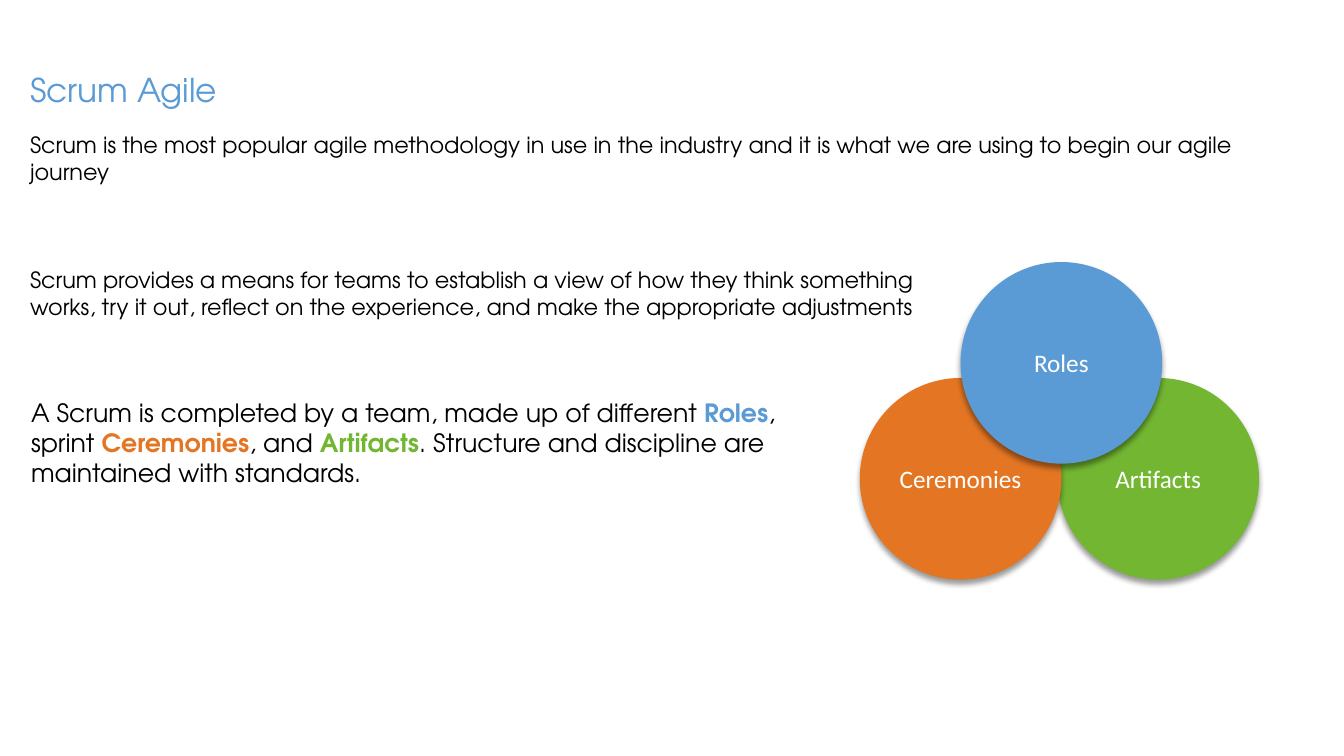
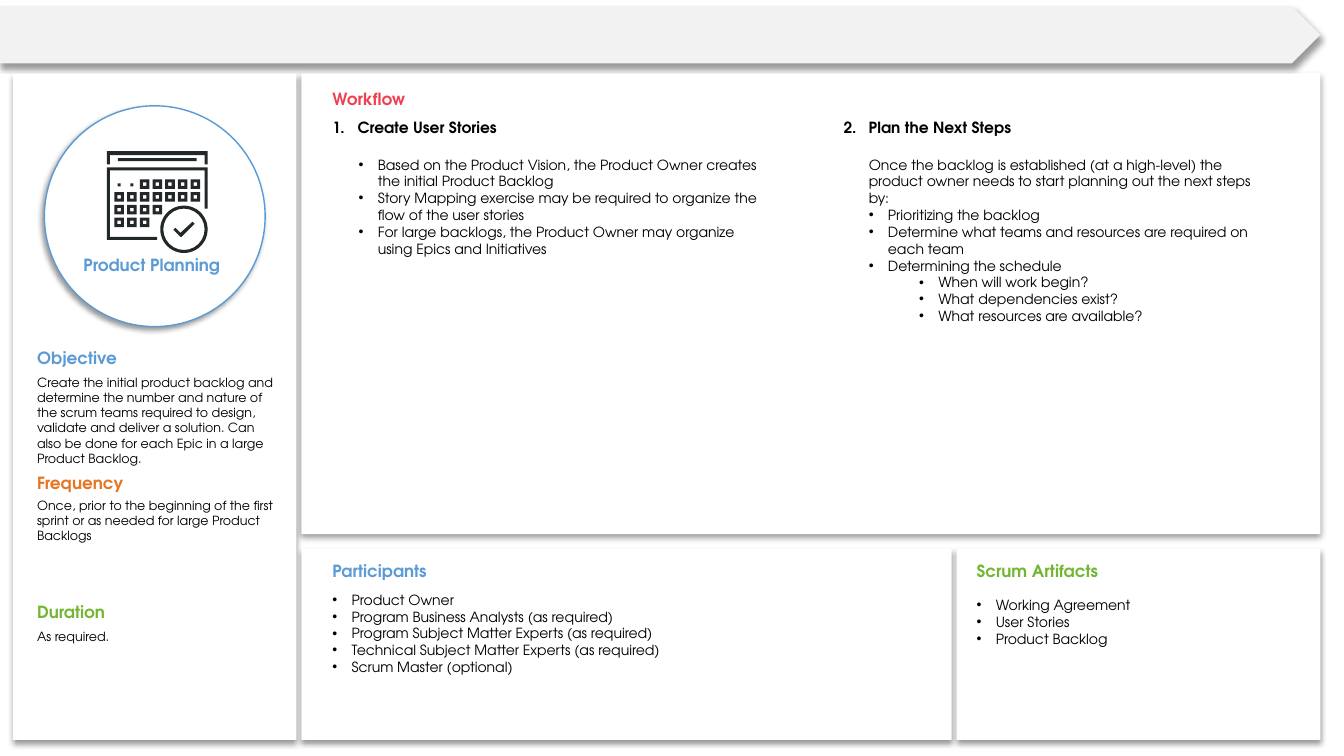
import dataclasses
import lxml.etree
import pptx
import pptx.dml.color
import pptx.enum.shapes
import pptx.enum.text
import pptx.oxml.ns
import pptx.util


@dataclasses.dataclass(frozen=True)
class Theme:
    font: str = "TeX Gyre Adventor"
    plain: str = "Calibri"
    black: str = "000000"
    white: str = "FFFFFF"
    blue: str = "5B9BD5"
    orange: str = "E47623"
    green: str = "73B632"
    red: str = "EF4051"
    band: str = "F2F2F2"
    ink: str = "222829"
    title: float = 23.4
    large: float = 18
    lead: float = 16
    head: float = 12
    step: float = 11
    list: float = 10
    note: float = 9


@dataclasses.dataclass(frozen=True)
class Line:
    runs: object              # text, or a list of (text, colour or None)
    mark: object = None       # a bullet character or a number
    left: float = 0           # indent in columns
    space: float = 0          # points before
    pitch: object = None      # line spacing


T = Theme()
CELL = pptx.util.Inches(0.1)  # the grid has cells of a tenth of an inch
WIDE, HIGH = 133.33, 75
KIND = pptx.enum.shapes.MSO_SHAPE
ANCHOR = pptx.enum.text.MSO_ANCHOR
ALIGN = pptx.enum.text.PP_ALIGN


# Basics

def cells(*counts):
    return [round(count * CELL) for count in counts]


def assign(item, **formats):
    for name, value in formats.items():
        setattr(item, name, value)


def paint(fill, color):
    fill.solid()
    fill.fore_color.rgb = pptx.dml.color.RGBColor.from_string(color)


def child(parent, tag, **attrs):
    node = lxml.etree.SubElement(parent, pptx.oxml.ns.qn(tag))
    for name, value in attrs.items():
        node.set(name, str(value))
    return node


def shade(shape, angle):
    """Soft black shadow, 4 pt blur at 3 pt distance."""
    shape.shadow.inherit = False
    effects = shape._element.spPr.find(pptx.oxml.ns.qn("a:effectLst"))
    outer = child(effects, "a:outerShdw", blurRad=pptx.util.Pt(4),
                  dist=pptx.util.Pt(3), dir=angle * 60000, rotWithShape=0)
    child(child(outer, "a:srgbClr", val=T.black), "a:alpha", val=40000)


# Text

def indent(para, line):
    hang = 2.5 if isinstance(line.mark, int) else 1.9
    props = para._p.get_or_add_pPr()
    left, first = cells(line.left + hang, -hang)
    props.set("marL", str(left))
    props.set("indent", str(first))
    if isinstance(line.mark, int):
        child(props, "a:buAutoNum", type="arabicPeriod", startAt=line.mark)
    else:
        child(props, "a:buFont", typeface="Arial")
        child(props, "a:buChar", char=line.mark)


def write(frame, lines, size, color=T.black, bold=False, face=T.font, align=None):
    for index, line in enumerate(lines):
        para = frame.paragraphs[0] if index == 0 else frame.add_paragraph()
        if line.mark:
            indent(para, line)
        if line.left:
            para.level = 1
        if line.space:
            para.space_before = pptx.util.Pt(line.space)
        assign(para, alignment=align, line_spacing=line.pitch)
        runs = [(line.runs, None)] if isinstance(line.runs, str) else line.runs
        for words, accent in runs:
            run = para.add_run()
            run.text = words
            assign(run.font, name=face, size=pptx.util.Pt(size),
                   bold=bold or accent is not None)
            paint(run.font.fill, accent or color)


def text(slide, place, lines, size, low=True, **style):
    box = slide.shapes.add_textbox(*cells(*place))
    assign(box.text_frame, word_wrap=True,
           vertical_anchor=ANCHOR.BOTTOM if low else ANCHOR.TOP)
    if isinstance(lines, str):
        lines = [Line(lines)]
    write(box.text_frame, lines, size, **style)


def head(slide, left, top, words, color):
    text(slide, (left, top, 20, 2.7), words, T.head, color=color, bold=True)


def step(slide, left, number, words):
    text(slide, (left, 11.3, 40, 2.7), [Line(words, number)], T.step, bold=True)


def points(*items, left=0):
    return [Line(item, "•", left) for item in items]


# Shapes

def block(shapes, kind, place, fill, edge=None, angle=None, adjust=None):
    shape = shapes.add_shape(kind, *cells(*place))
    paint(shape.fill, fill)
    if edge:
        paint(shape.line.fill, edge)
        shape.line.width = pptx.util.Pt(1)
    else:
        shape.line.fill.background()
    if angle is None:
        shape.shadow.inherit = False
    else:
        shade(shape, angle)
    if adjust is not None:
        shape.adjustments[0] = adjust
    return shape


def outline(shapes, spots):
    """Closed ink shape through spots given in grid cells."""
    spots = [(x * 10, y * 10) for x, y in spots]
    maker = shapes.build_freeform(*spots[0], scale=CELL / 10)
    maker.add_line_segments(spots[1:], close=True)
    shape = maker.convert_to_shape()
    paint(shape.fill, T.ink)
    shape.line.fill.background()
    shape.shadow.inherit = False


def disc(shapes, left, top, words, color):
    shape = block(shapes, KIND.OVAL, (left, top, 20, 20), color, angle=90)
    write(shape.text_frame, [Line(words)], T.large, color=T.white,
          face=T.plain, align=ALIGN.CENTER)


def planner(slide):
    """Calendar with a check mark."""
    shapes = slide.shapes.add_group_shape().shapes
    west, east, edge = 10.6, 20.6, 0.3
    # Page and its top strip, each an open band
    outline(shapes, [(15.6, 23.8), (west, 23.8), (west, 16.6), (east, 16.6),
                     (east, 20.7), (east - edge, 20.7), (east - edge, 16.9),
                     (west + edge, 16.9), (west + edge, 23.5), (15.6, 23.5)])
    outline(shapes, [(east, 16.3), (east - edge, 16.3), (east - edge, 15.4),
                     (west + edge, 15.4), (west + edge, 16.3), (west, 16.3),
                     (west, 15), (east, 15)])
    block(shapes, KIND.RECTANGLE, (11.7, 15.7, 7.8, edge), T.ink)
    # Days: first and last column of each week
    pitch, side = 1.26, 0.95
    for week, (first, last) in enumerate([(2, 6), (0, 6), (0, 3), (0, 2)]):
        for day in range(7):
            left, top = 11.35 + day * pitch, 17.8 + week * pitch
            if first <= day <= last:
                block(shapes, KIND.FRAME, (left, top, side, side), T.ink,
                      adjust=edge / side)
            elif day < first:
                block(shapes, KIND.RECTANGLE, (left + 0.32, top + 0.4, edge, edge), T.ink)
    # Check mark in a ring
    outline(shapes, [(17.9, 23.5), (17.2, 22.8), (17.4, 22.6), (17.9, 23.1),
                     (19.1, 22), (19.3, 22.2), (18, 23.5)])
    block(shapes, KIND.DONUT, (15.9, 20.4, 4.7, 4.7), T.ink, adjust=edge / 4.7)


# Slides

def intro(slide):
    text(slide, (2, 6.9, 90, 4.5), [Line("Scrum Agile", pitch=0.9)],
         T.title, color=T.blue)
    text(slide, (2, 16.5, 122.9, 15.7), [
        Line("Scrum is the most popular agile methodology in use in the industry "
             "and it is what we are using to begin our agile journey"),
        Line("Scrum provides a means for teams to establish a view of how they "
             "think something", space=3 * 1.2 * T.lead),
        Line("works, try it out, reflect on the experience, and make the "
             "appropriate adjustments")], T.lead)

    shapes = slide.shapes.add_group_shape().shapes
    disc(shapes, 104.9, 37.5, "Artifacts", T.green)
    disc(shapes, 85.3, 37.5, "Ceremonies", T.orange)
    disc(shapes, 95.3, 26, "Roles", T.blue)

    text(slide, (2.1, 38.4, 76.7, 10.5), [Line([
        ("A Scrum is completed by a team, made up of different ", None),
        ("Roles", T.blue), (", sprint ", None),
        ("Ceremonies", T.orange), (", and ", None),
        ("Artifacts", T.green),
        (". Structure and discipline are maintained with standards.", None)])], T.large)


def plan(slide):
    # Panels
    top, low, base = 7.2, 54.4, 73.4
    side, main, split, end, gap = 1.3, 29.9, 94.9, 131, 0.5
    for left, head_row, right, foot in [
            (main, top, end, 53), (main, low, split - gap, base),
            (side, top, main - gap, base), (split, low, end, base)]:
        block(slide.shapes, KIND.RECTANGLE,
              (left, head_row, right - left, foot - head_row), T.white, angle=90)
    block(slide.shapes, KIND.OVAL, (4.4, 10.5, 21.9, 21.9), T.white,
          edge=T.blue, angle=135)
    block(slide.shapes, KIND.PENTAGON, (0, 0.6, end, 5.7), T.band, angle=90)

    # Headings
    for left, row, words, color in [
            (2.7, 34.3, "Objective", T.blue), (2.7, 46.7, "Frequency", T.orange),
            (2.7, 59.5, "Duration", T.green), (7.3, 25.1, "Product Planning", T.blue),
            (32, 8.6, "Workflow", T.red), (32, 55.4, "Participants", T.blue),
            (95.9, 55.4, "Scrum Artifacts", T.green)]:
        head(slide, left, row, words, color)

    # Side notes
    for row, rows, words in [
            (36.7, 10, "Create the initial product backlog and determine the number "
             "and nature of the scrum teams required to design, validate and deliver "
             "a solution. Can also be done for each Epic in a large Product Backlog."),
            (49.2, 5.2, "Once, prior to the beginning of the first sprint or as "
             "needed for large Product Backlogs"),
            (62.6, 1.8, "As required.")]:
        text(slide, (2.7, row, 25.7, rows), words, T.note)

    # Workflow steps
    step(slide, 32, 1, "Create User Stories")
    text(slide, (34.6, 15, 41.9, 31.7), points(
        "Based on the Product Vision, the Product Owner creates the initial Product Backlog",
        "Story Mapping exercise may be required to organize the flow of the user stories",
        "For large backlogs, the Product Owner may organize using Epics and Initiatives"),
        T.list, low=False)
    step(slide, 82.7, 2, "Plan the Next Steps")
    text(slide, (85.2, 15, 41.9, 18.9), [
        Line("Once the backlog is established (at a high-level) the product owner "
             "needs to start planning out the next steps by:"),
        *points("Prioritizing the backlog",
                "Determine what teams and resources are required on each team",
                "Determining the schedule"),
        *points("When will work begin?", "What dependencies exist?",
                "What resources are available?", left=5)], T.list, low=False)

    # Lower lists
    text(slide, (32, 58.2, 54.1, 9.3), points(
        "Product Owner", "Program Business Analysts (as required)",
        "Program Subject Matter Experts (as required)",
        "Technical Subject Matter Experts (as required)",
        "Scrum Master (optional)"), T.list)
    text(slide, (95.9, 58.7, 34, 5.8), points(
        "Working Agreement", "User Stories", "Product Backlog"), T.list, low=False)

    planner(slide)


def main():
    deck = pptx.Presentation()
    deck.slide_width, deck.slide_height = cells(WIDE, HIGH)
    for build in (intro, plan):
        build(deck.slides.add_slide(deck.slide_layouts[6]))
    deck.save("out.pptx")


if __name__ == "__main__":
    main()
